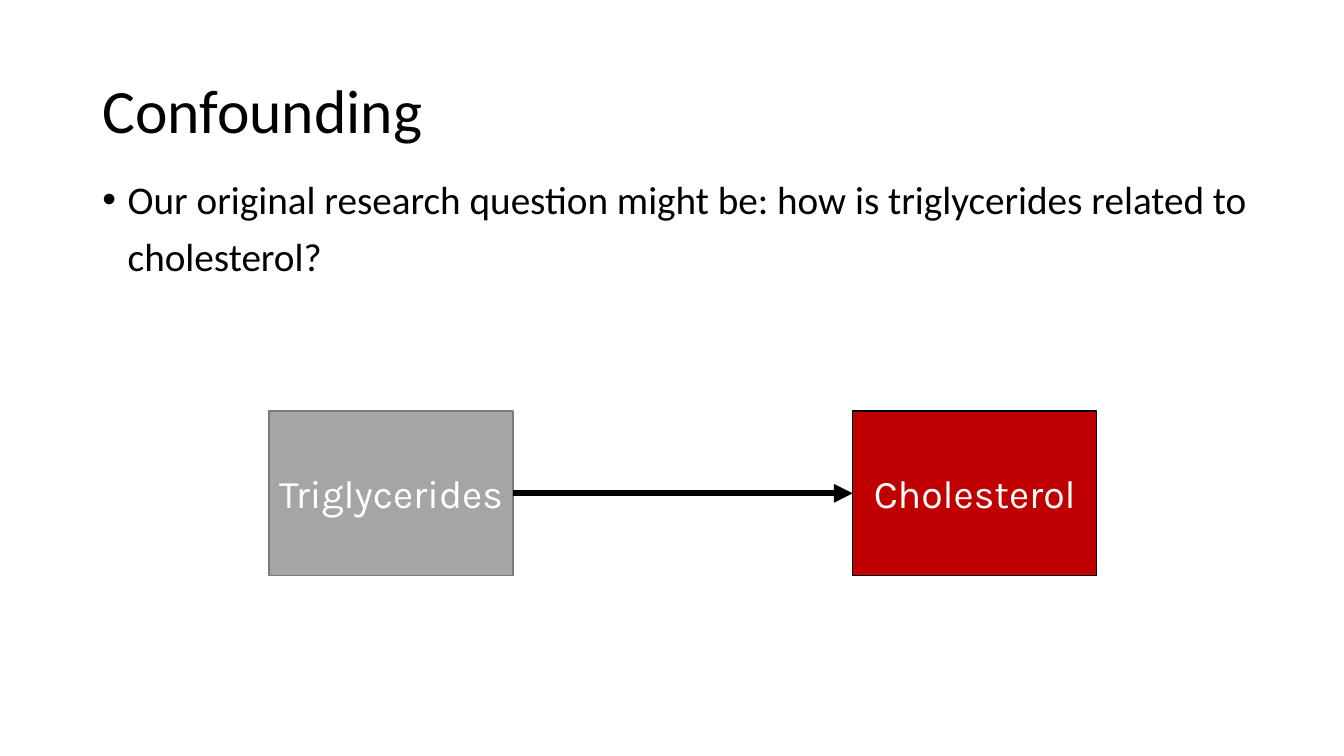
from lxml import etree
from pptx import Presentation
from pptx.dml.color import RGBColor
from pptx.enum.shapes import MSO_CONNECTOR, MSO_SHAPE
from pptx.enum.text import MSO_ANCHOR, PP_ALIGN
from pptx.oxml.ns import qn
from pptx.util import Cm, Pt

RECTANGLE = MSO_SHAPE.RECTANGLE
STRAIGHT = MSO_CONNECTOR.STRAIGHT
TOP, MIDDLE = MSO_ANCHOR.TOP, MSO_ANCHOR.MIDDLE
LEFT, CENTER = PP_ALIGN.LEFT, PP_ALIGN.CENTER

TITLE = "Confounding"
QUESTION = "Our original research question might be: how is triglycerides related to cholesterol?"
VARIABLES = [
    ("Triglycerides", "grey", "dark_grey"),
    ("Cholesterol", "red", "black"),
]
COLOURS = {
    "black": "000000",
    "white": "FFFFFF",
    "grey": "A5A5A5",
    "dark_grey": "7A7A7A",
    "red": "C00000",
}

VARIABLE_LEFT, VARIABLE_TOP = 6.78, 10.36
VARIABLE_WIDTH, VARIABLE_HEIGHT = 6.15, 4.14
VARIABLE_STEP = 14.71
BULLET_INDENT = 0.64


def colour(name):
    return RGBColor.from_string(COLOURS[name])


def write_text(shape, text, font="Calibri", size=28, ink="black", align=LEFT,
               anchor=TOP, line_spacing=1.0, bullet=None):
    frame = shape.text_frame
    frame.word_wrap = True
    frame.vertical_anchor = anchor
    paragraph = frame.paragraphs[0]
    paragraph.alignment = align
    paragraph.line_spacing = line_spacing
    if bullet:
        properties = paragraph._p.get_or_add_pPr()
        properties.set("marL", str(Cm(BULLET_INDENT)))
        properties.set("indent", str(-Cm(BULLET_INDENT)))
        etree.SubElement(properties, qn("a:buFont"), typeface="Arial")
        etree.SubElement(properties, qn("a:buChar"), char=bullet)
    run = paragraph.add_run()
    run.text = text
    run.font.name = font
    run.font.size = Pt(size)
    run.font.color.rgb = colour(ink)


presentation = Presentation()
presentation.slide_width, presentation.slide_height = Cm(33.87), Cm(19.05)
slide = presentation.slides.add_slide(presentation.slide_layouts[6])
shapes = slide.shapes

title = shapes.add_textbox(Cm(2.33), Cm(1.01), Cm(29.21), Cm(3.68))
write_text(title, TITLE, size=44, anchor=MIDDLE, line_spacing=0.9)

question = shapes.add_textbox(Cm(2.33), Cm(4.06), Cm(30.8), Cm(14.53))
write_text(question, QUESTION, line_spacing=1.2, bullet="•")

for position, (label, fill, outline) in enumerate(VARIABLES):
    variable = shapes.add_shape(
        RECTANGLE, Cm(VARIABLE_LEFT + position * VARIABLE_STEP), Cm(VARIABLE_TOP),
        Cm(VARIABLE_WIDTH), Cm(VARIABLE_HEIGHT))
    variable.shadow.inherit = False
    variable.fill.solid()
    variable.fill.fore_color.rgb = colour(fill)
    variable.line.color.rgb = colour(outline)
    variable.line.width = Pt(1)
    write_text(variable, label, font="Karla", ink="white", align=CENTER, anchor=MIDDLE)

arrow_y = Cm(VARIABLE_TOP + VARIABLE_HEIGHT / 2)
arrow = shapes.add_connector(
    STRAIGHT, Cm(VARIABLE_LEFT + VARIABLE_WIDTH), arrow_y,
    Cm(VARIABLE_LEFT + VARIABLE_STEP), arrow_y)
arrow.line.color.rgb = colour("black")
arrow.line.width = Pt(4.5)
etree.SubElement(arrow.line._get_or_add_ln(), qn("a:tailEnd"), type="triangle")
etree.SubElement(arrow._element.spPr, qn("a:effectLst"))

presentation.save("out.pptx")
